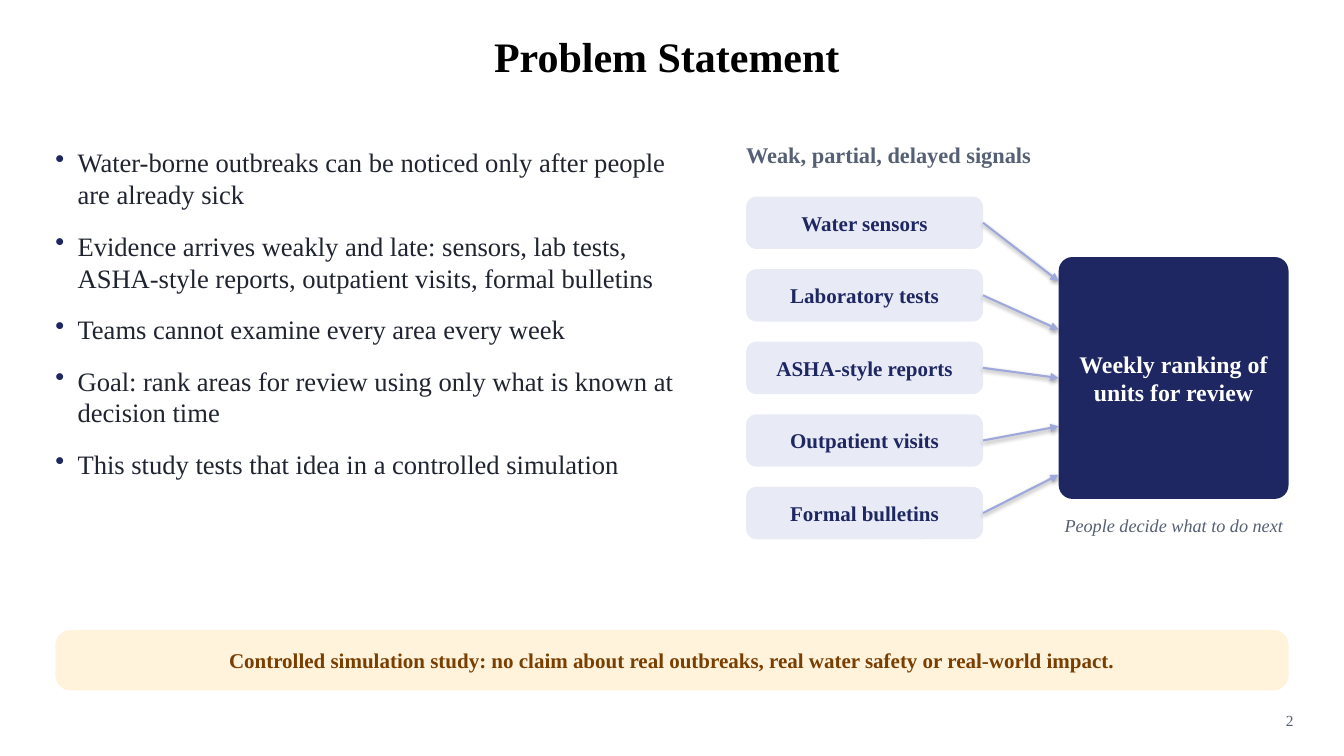
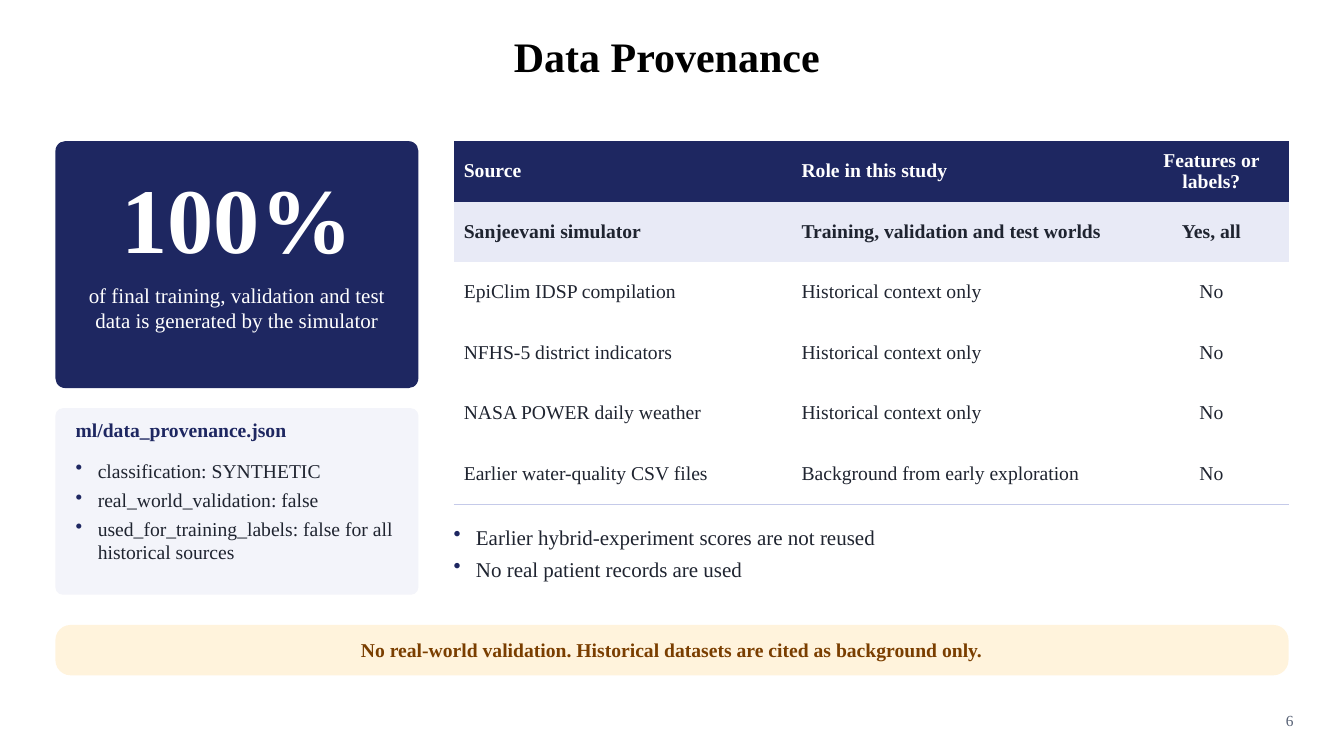
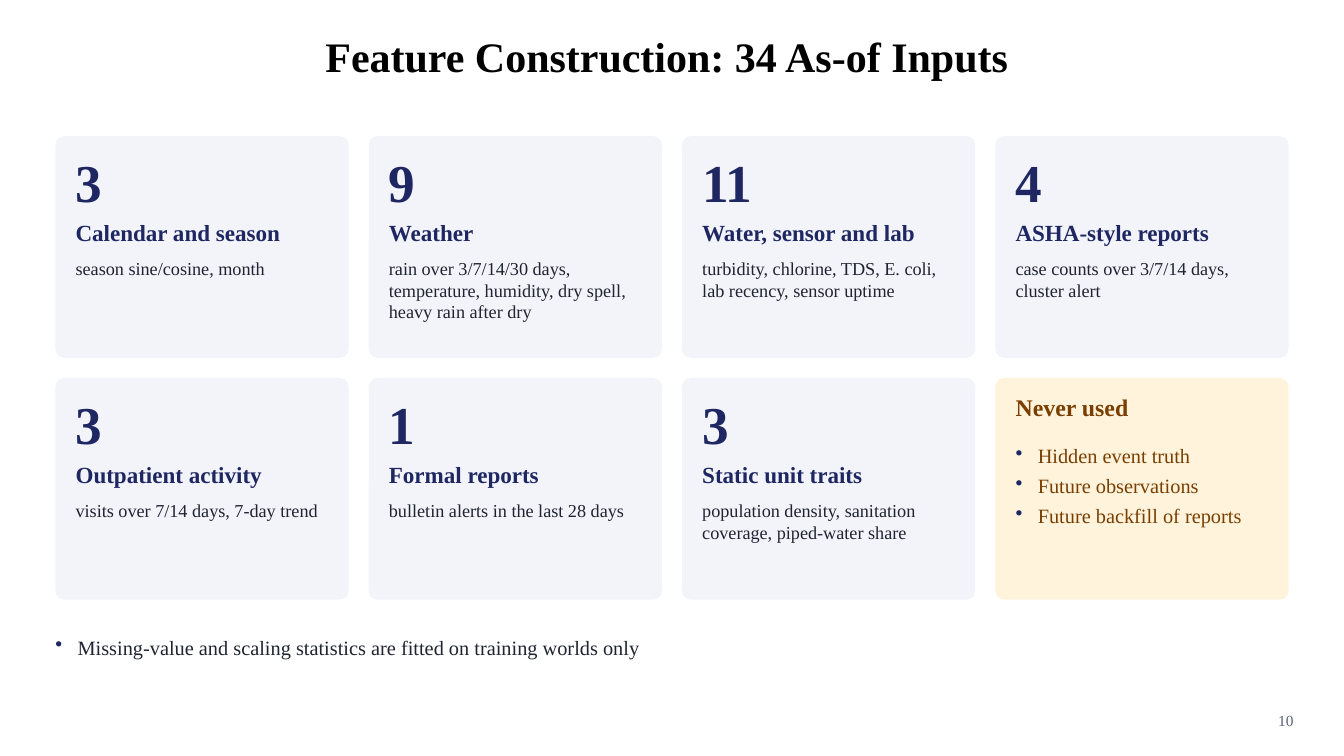
from dataclasses import dataclass, replace
from typing import NamedTuple

from lxml.etree import SubElement
from pptx import Presentation
from pptx.dml.color import RGBColor
from pptx.enum.shapes import MSO_CONNECTOR, MSO_SHAPE
from pptx.enum.text import MSO_ANCHOR, MSO_AUTO_SIZE, PP_ALIGN
from pptx.oxml import parse_xml
from pptx.oxml.ns import nsdecls, qn
from pptx.util import Inches, Pt

SLIDE_WIDTH, SLIDE_HEIGHT = 13.33, 7.5
MARGIN = 0.55
CONTENT_WIDTH = SLIDE_WIDTH - 2 * MARGIN
RIGHT_EDGE = MARGIN + CONTENT_WIDTH
GAP = 0.2
BULLET_INDENT = 0.22
FONT = "Times New Roman"
PLAIN_TABLE_STYLE = "{2D5ABB26-0587-4C30-8999-92F81FD0307C}"
COLORS = {
    "title": "000000",
    "navy": "1E2761",
    "ink": "1F2430",
    "muted": "566074",
    "white": "FFFFFF",
    "lavender": "E8EAF6",
    "panel": "F3F4FA",
    "cream": "FFF3DC",
    "brown": "7A3E00",
    "arrow": "9FA8DA",
    "rule": "C5CAE9",
}


@dataclass(frozen=True)
class Box:
    left: float
    top: float
    width: float
    height: float

    @property
    def right(self) -> float:
        return self.left + self.width

    def emu(self) -> list:
        return [Inches(value) for value in (self.left, self.top, self.width, self.height)]

    def inside(self, top: float, height: float, side: float = GAP) -> "Box":
        """A strip within this box, measured from its top, with equal side margins."""
        return Box(self.left + side, self.top + top, self.width - 2 * side, height)


@dataclass(frozen=True)
class TextStyle:
    size: float
    color: str = "ink"
    bold: bool = False
    italic: bool = False
    align: PP_ALIGN = PP_ALIGN.LEFT
    anchor: MSO_ANCHOR = MSO_ANCHOR.TOP
    bullet: bool = False
    space_after: float = 0


class Feature(NamedTuple):
    count: str
    name: str
    detail: str


CENTERED = {"align": PP_ALIGN.CENTER, "anchor": MSO_ANCHOR.MIDDLE}
TITLE = TextStyle(30, "title", bold=True, **CENTERED)
PAGE_NUMBER = TextStyle(11, "muted", align=PP_ALIGN.RIGHT)
SIGNAL_LABEL = TextStyle(15, "navy", bold=True, **CENTERED)
BANNER = TextStyle(15, "brown", bold=True, **CENTERED)
CARD_BULLETS = TextStyle(14.5, bullet=True, space_after=4)

SIGNALS = ["Water sensors", "Laboratory tests", "ASHA-style reports", "Outpatient visits", "Formal bulletins"]
SOURCES = [
    ("Source", "Role in this study", "Features or labels?"),
    ("Sanjeevani simulator", "Training, validation and test worlds", "Yes, all"),
    ("EpiClim IDSP compilation", "Historical context only", "No"),
    ("NFHS-5 district indicators", "Historical context only", "No"),
    ("NASA POWER daily weather", "Historical context only", "No"),
    ("Earlier water-quality CSV files", "Background from early exploration", "No"),
]
FEATURES = [
    Feature("3", "Calendar and season", "season sine/cosine, month"),
    Feature("9", "Weather", "rain over 3/7/14/30 days, temperature, humidity, dry spell, heavy rain after dry"),
    Feature("11", "Water, sensor and lab", "turbidity, chlorine, TDS, E. coli, lab recency, sensor uptime"),
    Feature("4", "ASHA-style reports", "case counts over 3/7/14 days, cluster alert"),
    Feature("3", "Outpatient activity", "visits over 7/14 days, 7-day trend"),
    Feature("1", "Formal reports", "bulletin alerts in the last 28 days"),
    Feature("3", "Static unit traits", "population density, sanitation coverage, piped-water share"),
]


def rgb(name: str) -> RGBColor:
    return RGBColor.from_string(COLORS[name])


def set_values(target, values: dict) -> None:
    for name, value in values.items():
        setattr(target, name, value)


def add_bullet(paragraph) -> None:
    properties = paragraph._p.get_or_add_pPr()
    properties.set("marL", str(Inches(BULLET_INDENT)))
    properties.set("indent", str(-Inches(BULLET_INDENT)))
    color = SubElement(properties, qn("a:buClr"))
    SubElement(color, qn("a:srgbClr"), val=COLORS["navy"])
    SubElement(properties, qn("a:buChar"), char="•")


def write(frame, lines: list[str], style: TextStyle) -> None:
    for index, line in enumerate(lines):
        paragraph = frame.paragraphs[0] if index == 0 else frame.add_paragraph()
        set_values(paragraph, {"alignment": style.align, "space_after": Pt(style.space_after)})
        if style.bullet:
            add_bullet(paragraph)
        run = paragraph.add_run()
        run.text = line
        font = {"name": FONT, "size": Pt(style.size), "bold": style.bold, "italic": style.italic}
        set_values(run.font, font)
        run.font.color.rgb = rgb(style.color)


def margins(side: float, vertical: float) -> dict:
    return {
        "margin_left": Inches(side),
        "margin_right": Inches(side),
        "margin_top": Inches(vertical),
        "margin_bottom": Inches(vertical),
    }


def add_text(slide, box: Box, lines: str | list[str], style: TextStyle) -> None:
    frame = slide.shapes.add_textbox(*box.emu()).text_frame
    layout = {"word_wrap": True, "auto_size": MSO_AUTO_SIZE.SHAPE_TO_FIT_TEXT, "vertical_anchor": style.anchor}
    set_values(frame, layout | margins(0, 0))
    write(frame, [lines] if isinstance(lines, str) else lines, style)


def add_panel(slide, box: Box, fill: str, rounding: float, text: str = "", style: TextStyle = BANNER):
    """A borderless rounded rectangle, with an optional label."""
    shape = slide.shapes.add_shape(MSO_SHAPE.ROUNDED_RECTANGLE, *box.emu())
    shape.adjustments[0] = rounding
    shape.shadow.inherit = False
    shape.fill.solid()
    shape.fill.fore_color.rgb = rgb(fill)
    shape.line.fill.background()
    if text:
        set_values(shape.text_frame, {"word_wrap": True, "vertical_anchor": style.anchor} | margins(0.12, 0.05))
        write(shape.text_frame, [text], style)
    return shape


def add_slide(presentation, title: str, number: int):
    slide = presentation.slides.add_slide(presentation.slide_layouts[6])
    add_text(slide, Box(2.3, 0.2, 8.63, 0.7), title, TITLE)
    add_text(slide, Box(12.33, 7.05, 0.5, 0.25), str(number), PAGE_NUMBER)
    return slide


def add_arrow(slide, start: tuple[float, float], end: tuple[float, float]):
    points = [Inches(value) for value in (*start, *end)]
    arrow = slide.shapes.add_connector(MSO_CONNECTOR.STRAIGHT, *points)
    arrow.line.width = Pt(1.5)
    arrow.line.color.rgb = rgb("arrow")
    SubElement(arrow.line._get_or_add_ln(), qn("a:tailEnd"), type="triangle")
    return arrow


def build_problem(presentation) -> None:
    slide = add_slide(presentation, "Problem Statement", 2)
    statements = [
        "Water-borne outbreaks can be noticed only after people are already sick",
        "Evidence arrives weakly and late: sensors, lab tests, ASHA-style reports, outpatient visits, formal bulletins",
        "Teams cannot examine every area every week",
        "Goal: rank areas for review using only what is known at decision time",
        "This study tests that idea in a controlled simulation",
    ]
    add_text(slide, Box(MARGIN, 1.45, 6.3, 4.4), statements, TextStyle(19, bullet=True, space_after=14))
    add_text(slide, Box(7.4, 1.4, 5.4, 0.4), "Weak, partial, delayed signals", TextStyle(16, "muted", bold=True))

    ranking_box = Box(10.5, 2.55, RIGHT_EDGE - 10.5, 2.4)
    ranking_style = replace(SIGNAL_LABEL, size=17, color="white")
    ranking = add_panel(slide, ranking_box, "navy", 0.06, "Weekly ranking of units for review", ranking_style)
    entry_step = ranking_box.height / len(SIGNALS)
    for row, signal in enumerate(SIGNALS):
        box = Box(7.4, 1.95 + row * (0.52 + GAP), 2.35, 0.52)
        panel = add_panel(slide, box, "lavender", 0.2, signal, SIGNAL_LABEL)
        entry = ranking_box.top + (row + 0.5) * entry_step
        arrow = add_arrow(slide, (box.right, box.top + box.height / 2), (ranking_box.left, entry))
        arrow.begin_connect(panel, 3)
        if row == len(SIGNALS) // 2:
            arrow.end_connect(ranking, 1)

    caption = TextStyle(13, "muted", italic=True, align=PP_ALIGN.CENTER)
    add_text(slide, ranking_box.inside(2.55, 0.6, side=0), "People decide what to do next", caption)
    claim = "Controlled simulation study: no claim about real outbreaks, real water safety or real-world impact."
    add_panel(slide, Box(MARGIN, 6.25, CONTENT_WIDTH, 0.6), "cream", 0.25, claim)


def add_bottom_border(cell) -> None:
    border = parse_xml(
        f'<a:lnB {nsdecls("a")} w="{Pt(0.75)}"><a:solidFill>'
        f'<a:srgbClr val="{COLORS["rule"]}"/></a:solidFill></a:lnB>'
    )
    cell._tc.get_or_add_tcPr().insert(0, border)


def add_source_table(slide, box: Box) -> None:
    widths = [3.35, 3.4, 1.53]
    frame = slide.shapes.add_table(len(SOURCES), len(widths), *box.emu())
    frame.element.xpath(".//a:tableStyleId")[0].text = PLAIN_TABLE_STYLE
    table = frame.table
    set_values(table, {"first_row": False, "horz_banding": False})
    for column, width in zip(table.columns, widths):
        column.width = Inches(width)
    row_looks = {0: ("navy", "white", True), 1: ("lavender", "ink", True)}
    for row, texts in enumerate(SOURCES):
        fill, color, bold = row_looks.get(row, ("white", "ink", False))
        for column, text in enumerate(texts):
            cell = table.cell(row, column)
            set_values(cell, {"vertical_anchor": MSO_ANCHOR.MIDDLE} | margins(0.1, 0.04))
            cell.fill.solid()
            cell.fill.fore_color.rgb = rgb(fill)
            align = PP_ALIGN.CENTER if column == len(widths) - 1 else PP_ALIGN.LEFT
            write(cell.text_frame, [text], TextStyle(14, color, bold, align=align))
            if row == len(SOURCES) - 1:
                add_bottom_border(cell)


def build_provenance(presentation) -> None:
    slide = add_slide(presentation, "Data Provenance", 6)
    share = Box(MARGIN, 1.4, 3.6, 2.45)
    add_panel(slide, share, "navy", 0.04)
    add_text(slide, share.inside(0.15, 1.2, side=0), "100%", TextStyle(66, "white", bold=True, **CENTERED))
    explanation = "of final training, validation and test data is generated by the simulator"
    add_text(slide, share.inside(1.4, 0.95, 0.25), explanation, TextStyle(15, "white", align=PP_ALIGN.CENTER))

    record = Box(MARGIN, share.top + share.height + GAP, share.width, 1.85)
    add_panel(slide, record, "panel", 0.04)
    add_text(slide, record.inside(0.1, 0.3), "ml/data_provenance.json", TextStyle(14, "navy", bold=True))
    entries = [
        "classification: SYNTHETIC",
        "real_world_validation: false",
        "used_for_training_labels: false for all historical sources",
    ]
    add_text(slide, record.inside(0.5, 1.3), entries, replace(CARD_BULLETS, size=14))

    table_box = Box(4.5, share.top, RIGHT_EDGE - 4.5, 3.6)
    add_source_table(slide, table_box)
    exclusions = ["Earlier hybrid-experiment scores are not reused", "No real patient records are used"]
    add_text(slide, table_box.inside(3.8, 0.8, side=0), exclusions, TextStyle(15, bullet=True, space_after=5))
    claim = "No real-world validation. Historical datasets are cited as background only."
    add_panel(slide, Box(MARGIN, 6.2, CONTENT_WIDTH, 0.5), "cream", 0.3, claim, replace(BANNER, size=14))


def feature_cell(index: int) -> Box:
    """The card at a position in a grid of four columns, filled row by row."""
    columns, height = 4, 2.2
    width = (CONTENT_WIDTH - (columns - 1) * GAP) / columns
    row, column = divmod(index, columns)
    return Box(MARGIN + column * (width + GAP), 1.35 + row * (height + GAP), width, height)


def build_features(presentation) -> None:
    slide = add_slide(presentation, "Feature Construction: 34 As-of Inputs", 10)
    count_style = TextStyle(38, "navy", bold=True, anchor=MSO_ANCHOR.MIDDLE)
    for index, feature in enumerate(FEATURES):
        card = feature_cell(index)
        add_panel(slide, card, "panel", 0.04)
        add_text(slide, replace(card.inside(0.1, 0.7), width=1), feature.count, count_style)
        add_text(slide, card.inside(0.82, 0.35), feature.name, TextStyle(16.5, "navy", bold=True))
        add_text(slide, card.inside(1.2, 0.95), feature.detail, TextStyle(13))

    excluded = feature_cell(len(FEATURES))
    add_panel(slide, excluded, "cream", 0.04)
    add_text(slide, excluded.inside(0.15, 0.35), "Never used", TextStyle(17, "brown", bold=True))
    never_used = ["Hidden event truth", "Future observations", "Future backfill of reports"]
    add_text(slide, excluded.inside(0.65, 1.5), never_used, replace(CARD_BULLETS, color="brown"))
    note = "Missing-value and scaling statistics are fitted on training worlds only"
    add_text(slide, Box(MARGIN, 6.3, CONTENT_WIDTH, 0.5), note, replace(CARD_BULLETS, space_after=0))


def main() -> None:
    presentation = Presentation()
    set_values(presentation, {"slide_width": Inches(SLIDE_WIDTH), "slide_height": Inches(SLIDE_HEIGHT)})
    for build in (build_problem, build_provenance, build_features):
        build(presentation)
    presentation.save("out.pptx")


if __name__ == "__main__":
    main()
